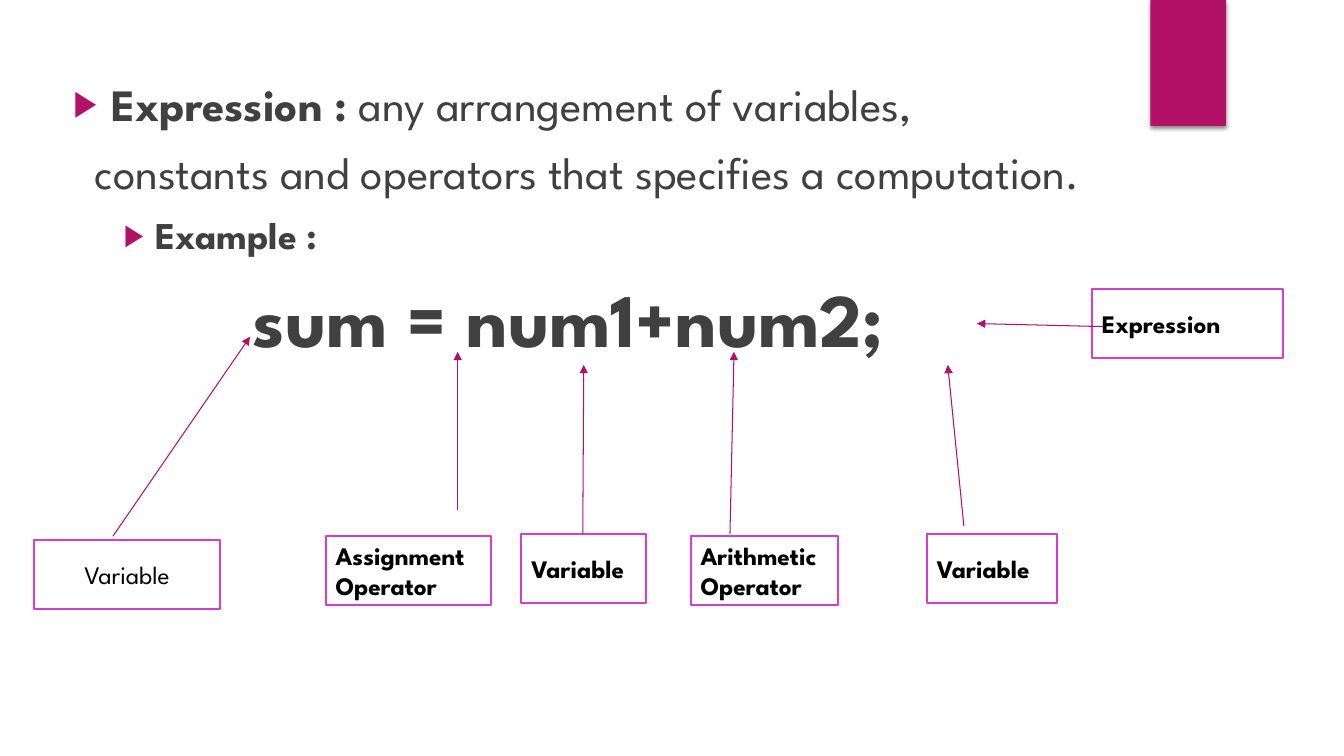
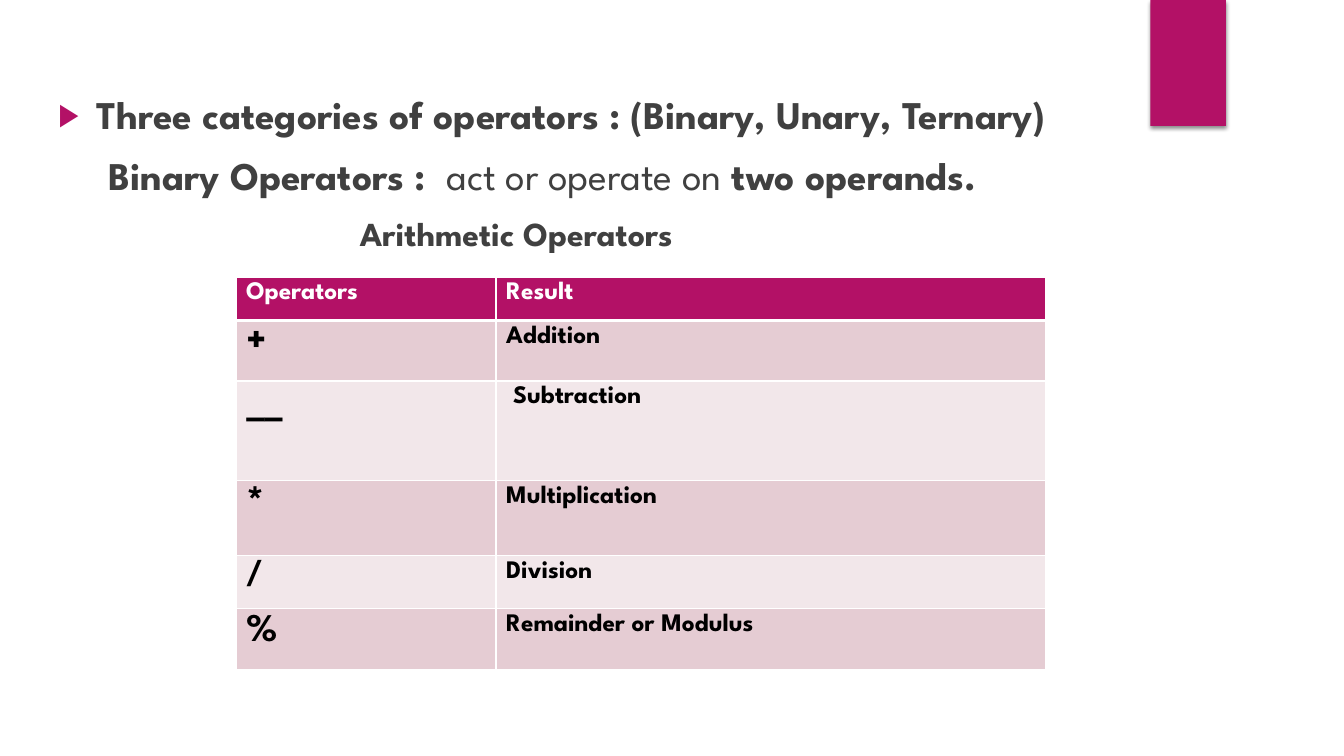
from dataclasses import dataclass

import lxml.etree
import pptx
import pptx.dml.color
import pptx.enum.shapes
import pptx.enum.text
import pptx.oxml.ns
import pptx.util

Inches = pptx.util.Inches
Pt = pptx.util.Pt
qn = pptx.oxml.ns.qn


@dataclass(frozen=True)
class Theme:
    font: str = "League Spartan"
    accent: str = "B31166"
    box_line: str = "D53DD0"
    text: str = "404040"
    black: str = "000000"
    white: str = "FFFFFF"
    row_bands: tuple = ("E5CCD3", "F2E7EA")
    definition: int = 32
    heading: int = 28
    example: int = 27
    subheading: int = 24
    code: int = 54
    label: int = 18
    paragraph_gap: int = 10


THEME = Theme()


def rgb(value):
    return pptx.dml.color.RGBColor.from_string(value)


def add_xml(parent, tag, **attributes):
    return lxml.etree.SubElement(parent, qn(tag), attributes)


# Text
def add_run(paragraph, text, size, bold=True, color=THEME.text):
    run = paragraph.add_run()
    run.text = text
    run.font.name = THEME.font
    run.font.size = Pt(size)
    run.font.bold = bold
    run.font.color.rgb = rgb(color)


def add_bullet(paragraph):
    properties = paragraph._p.get_or_add_pPr()
    color = add_xml(properties, "a:buClr")
    add_xml(color, "a:srgbClr", val=THEME.accent)
    add_xml(properties, "a:buSzPct", val="80000")
    add_xml(properties, "a:buFont", typeface="Arial")
    add_xml(properties, "a:buChar", char="▶")


def add_body(slide, left, top, width, height, lines):
    """Each line: left margin, hanging indent (0 for no bullet), size, runs."""
    frame = slide.shapes.add_textbox(
        Inches(left), Inches(top), Inches(width), Inches(height)).text_frame
    frame.word_wrap = True
    for index, (margin, hanging, size, runs) in enumerate(lines):
        paragraph = frame.add_paragraph() if index else frame.paragraphs[0]
        properties = paragraph._p.get_or_add_pPr()
        properties.set("marL", str(Inches(margin)))
        properties.set("indent", str(-Inches(hanging)))
        if hanging:
            add_bullet(paragraph)
        paragraph.space_before = Pt(THEME.paragraph_gap if index else 0)
        for text, bold in runs:
            add_run(paragraph, text, size, bold)


# Shapes
def add_rectangle(slide, left, top, width, height, fill):
    rectangle = slide.shapes.add_shape(
        pptx.enum.shapes.MSO_SHAPE.RECTANGLE,
        Inches(left), Inches(top), Inches(width), Inches(height))
    rectangle.shadow.inherit = False
    rectangle.fill.solid()
    rectangle.fill.fore_color.rgb = rgb(fill)
    return rectangle


def add_band(slide):
    band = add_rectangle(slide, 11.41, 0, 0.75, 1.25, THEME.accent)
    band.line.fill.background()
    effects = band._element.spPr.find(qn("a:effectLst"))
    shadow = add_xml(effects, "a:outerShdw", blurRad=str(Pt(3)),
                     dist=str(Pt(2)), dir="5400000", rotWithShape="0")
    color = add_xml(shadow, "a:srgbClr", val=THEME.black)
    add_xml(color, "a:alpha", val="45000")


def add_label(slide, text, left, top, width, bold=True):
    label = add_rectangle(slide, left, top, width, 0.68, THEME.white)
    label.line.color.rgb = rgb(THEME.box_line)
    label.line.width = Pt(1.5)
    frame = label.text_frame
    frame.word_wrap = True
    frame.vertical_anchor = pptx.enum.text.MSO_ANCHOR.MIDDLE
    paragraph = frame.paragraphs[0]
    align = pptx.enum.text.PP_ALIGN
    paragraph.alignment = align.LEFT if bold else align.CENTER
    add_run(paragraph, text, THEME.label, bold, THEME.black)


def add_arrow(slide, *ends):
    arrow = slide.shapes.add_connector(
        pptx.enum.shapes.MSO_CONNECTOR.STRAIGHT, *map(Inches, ends))
    arrow.line.color.rgb = rgb(THEME.accent)
    arrow.line.width = Pt(0.75)
    add_xml(arrow.line._get_or_add_ln(), "a:tailEnd", type="triangle")
    add_xml(arrow._element.spPr, "a:effectLst")


# Table
def set_borders(cell, top, bottom):
    properties = cell._tc.get_or_add_tcPr()
    for side, width in (("L", 1), ("R", 1), ("T", top), ("B", bottom)):
        border = add_xml(properties, f"a:ln{side}", w=str(Pt(width)))
        fill = add_xml(border, "a:solidFill")
        add_xml(fill, "a:srgbClr", val=THEME.white)


def fill_cell(cell, text, size, row):
    set_borders(cell, 3 if row == 1 else 1, 3 if row == 0 else 1)
    cell.fill.solid()
    cell.fill.fore_color.rgb = rgb(
        THEME.row_bands[(row - 1) % 2] if row else THEME.accent)
    add_run(cell.text_frame.paragraphs[0], text, size,
            color=THEME.black if row else THEME.white)


def add_operator_table(slide, left, top, column_widths, rows):
    """Each row: height, operator, operator size, result."""
    height = sum(row[0] for row in rows)
    table = slide.shapes.add_table(
        len(rows), len(column_widths), Inches(left), Inches(top),
        Inches(sum(column_widths)), Inches(height)).table
    for column, width in zip(table.columns, column_widths):
        column.width = Inches(width)
    for index, (row_height, operator, size, result) in enumerate(rows):
        table.rows[index].height = Inches(row_height)
        fill_cell(table.cell(index, 0), operator, size, index)
        fill_cell(table.cell(index, 1), result, THEME.label, index)
    return table


# Slides
def new_slide(deck):
    slide = deck.slides.add_slide(deck.slide_layouts[6])
    add_band(slide)
    return slide


def build_expression_slide(deck):
    slide = new_slide(deck)
    add_body(slide, 0.63, 0.71, 12.43, 5.69, [
        (0.38, 0.38, THEME.definition,
         [("Expression :", True), (" any arrangement of variables,", False)]),
        (0.21, 0, THEME.definition,
         [("constants and operators that specifies a computation.", False)]),
        (0.81, 0.31, THEME.example, [("Example :", True)]),
        (1.78, 0, THEME.code, [("sum = num1+num2;", True)]),
    ])

    # Names of the parts
    for label in (
        ("Variable", 0.34, 5.36, 1.84, False),
        ("Assignment Operator", 3.23, 5.32, 1.64),
        ("Variable", 5.17, 5.3, 1.24),
        ("Arithmetic Operator", 6.85, 5.32, 1.46),
        ("Variable", 9.19, 5.3, 1.29),
        ("Expression", 10.83, 2.87, 1.9),
    ):
        add_label(slide, *label)

    # Arrows from the names to the statement
    for ends in (
        (1.12, 5.32, 2.48, 3.34),
        (4.54, 5.06, 4.54, 3.49),
        (5.78, 5.3, 5.79, 3.62),
        (7.24, 5.3, 7.28, 3.49),
        (9.56, 5.22, 9.4, 3.62),
        (10.94, 3.24, 9.69, 3.21),
    ):
        add_arrow(slide, *ends)


def build_operators_slide(deck):
    slide = new_slide(deck)
    add_body(slide, 0.48, 0.85, 11.4, 6.37, [
        (0.38, 0.38, THEME.heading,
         [("Three categories of operators : (Binary, Unary, Ternary)", True)]),
        (0.5, 0, THEME.heading,
         [("Binary Operators :  ", True), ("act or operate on", False),
          (" two operands.", True)]),
        (2.99, 0, THEME.subheading, [("Arithmetic Operators", True)]),
    ])
    operators = add_operator_table(slide, 2.34, 2.75, (2.58, 5.45), [
        (0.43, "Operators", THEME.label, "Result"),
        (0.6, "+", 28, "Addition"),
        (0.99, "__", 32, "Subtraction"),
        (0.74, "*", 32, "Multiplication"),
        (0.53, "/", 24, "Division"),
        (0.6, "%", 28, "Remainder or Modulus"),
    ])
    operators.cell(2, 1).margin_left = Inches(0.17)


def main():
    deck = pptx.Presentation()
    deck.slide_width = Inches(13.33)
    deck.slide_height = Inches(7.5)
    build_expression_slide(deck)
    build_operators_slide(deck)
    deck.save("out.pptx")


if __name__ == "__main__":
    main()
